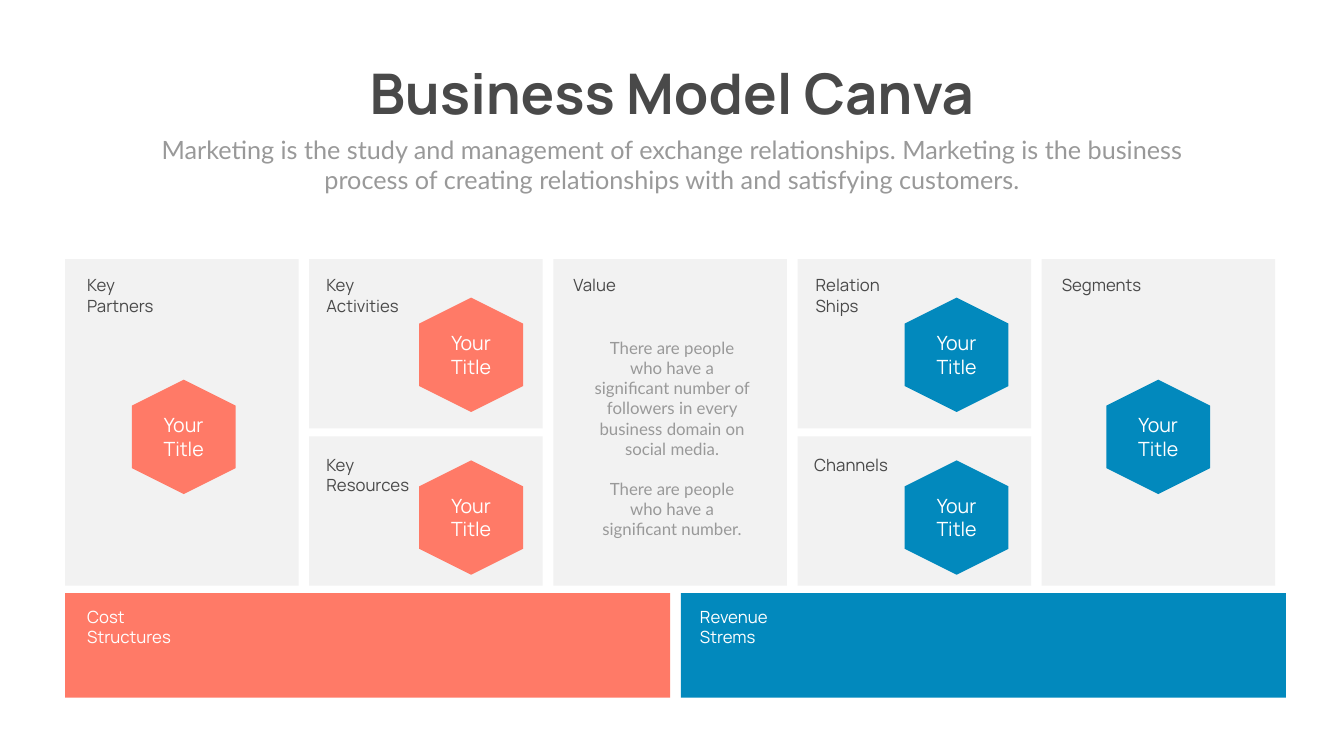
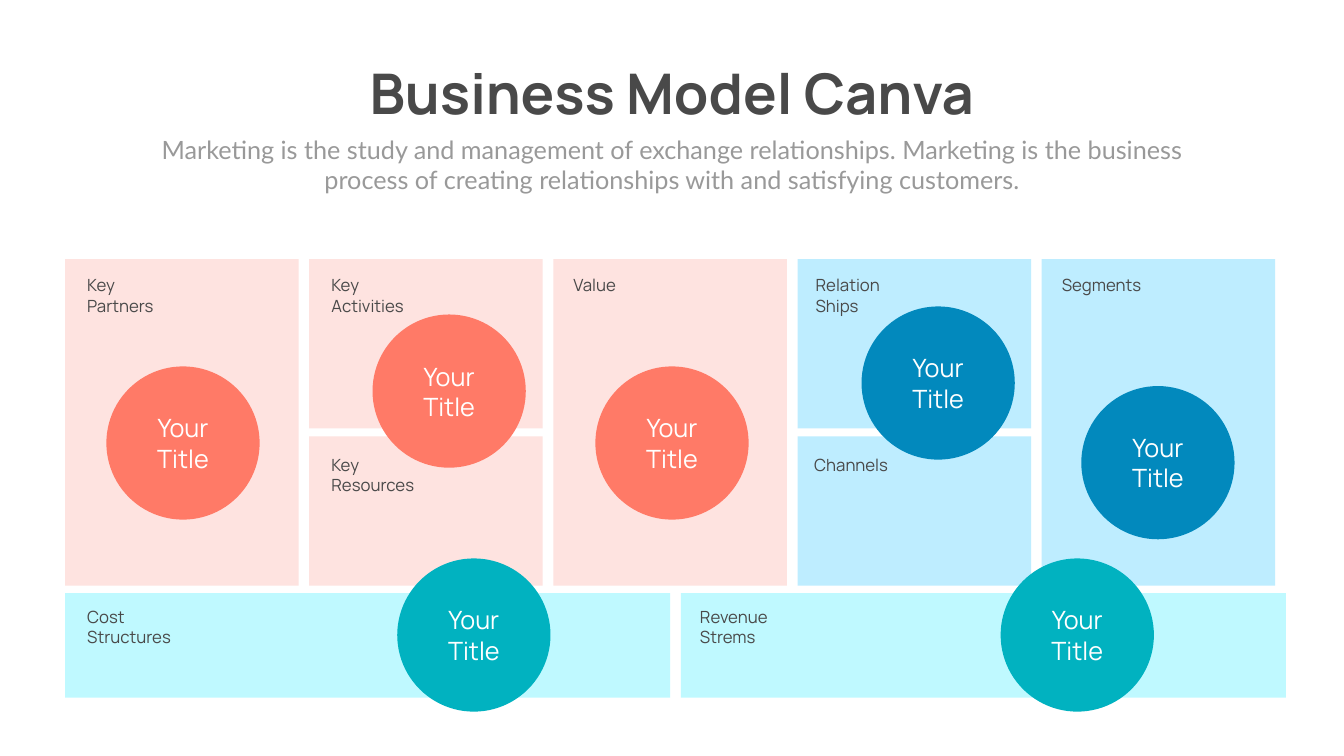
"""Build two business model canvas slides, one with hexagons and one with circles."""
from dataclasses import dataclass

from pptx import Presentation
from pptx.dml.color import RGBColor
from pptx.enum.shapes import MSO_SHAPE as Preset
from pptx.enum.text import MSO_ANCHOR as Anchor, PP_ALIGN as Align
from pptx.util import Pt


@dataclass(frozen=True)
class Theme:
    heading_font: str = "Manrope"
    body_font: str = "Lato"
    ink: str = "494949"
    muted: str = "999999"
    white: str = "FFFFFF"
    panel: str = "F2F2F2"
    coral: str = "FF7A67"
    blue: str = "0289BD"
    teal: str = "01B2C0"
    pale_coral: str = "FEE3E0"
    pale_blue: str = "BEEDFF"
    pale_teal: str = "BFF9FF"
    title_size: int = 80
    lead_size: int = 36
    label_size: int = 24
    hexagon_size: int = 28
    circle_size: int = 36


THEME = Theme()

TITLE = "Business Model Canva"
LEAD = ("Marketing is the study and management of exchange relationships. "
        "Marketing is the business process of creating relationships with "
        "and satisfying customers.")
BADGE = "Your Title"
VALUE_NOTES = [
    "There are people who have a significant number of followers in every "
    "business domain on social media.",
    "There are people who have a significant number.",
]

# (label, column, row, label inset, label width)
SECTIONS = [
    ("Key Partners", 0, "full", 24.5, 132),
    ("Key Activities", 1, "upper", 17.3, 131),
    ("Key Resources", 1, "lower", 17.3, 157),
    ("Value", 2, "full", 21.6, 172),
    ("Relation Ships", 3, "upper", 18.7, 131),
    ("Channels", 3, "lower", 16.6, 173),
    ("Segments", 4, "full", 21.6, 172),
    ("Cost Structures", 0, "bar", 24.5, 144),
    ("Revenue Strems", 1, "bar", 20.2, 144),
]

HEXAGON_SLIDE = {
    "fills": [THEME.panel] * 7 + [THEME.coral, THEME.blue],
    "bar_ink": THEME.white,
    "activity_shift": 0,
    "badges": [
        (262.4, 624.2, THEME.coral),
        (672.8, 506.9, THEME.coral),
        (1366.2, 506.9, THEME.blue),
        (672.8, 739.4, THEME.coral),
        (1366.2, 739.4, THEME.blue),
        (1654.2, 624.2, THEME.blue),
    ],
}
CIRCLE_SLIDE = {
    "fills": [THEME.pale_coral] * 4 + [THEME.pale_blue] * 3 + [THEME.pale_teal] * 2,
    "bar_ink": THEME.ink,
    "activity_shift": 7.2,
    "badges": [
        (261.4, 632.9, THEME.coral),
        (641.5, 558.7, THEME.coral),
        (959.8, 632.9, THEME.coral),
        (1339.9, 547.2, THEME.blue),
        (1653.8, 661, THEME.blue),
        (676.8, 907.2, THEME.teal),
        (1538.6, 907.2, THEME.teal),
    ],
}

SLIDE_SIZE = (1919.5, 1080)
LEFT, COLUMN, GAP = 93, 333.4, 15.3
BAR = (5 * COLUMN + 3 * GAP) / 2 + GAP / 2
# row: top, height, label offset
ROWS = {
    "full": (370, 466.5, 19.5),
    "upper": (370, 242, 19.5),
    "lower": (623.5, 213, 23),
    "bar": (847.5, 149, 15),
}
HEXAGON = (163.4, 148.3)
HEXAGON_TEXT = (117.4, 74.9)
CIRCLE = (218.9, 218.9)


def write(shape, *texts, font=THEME.heading_font, size=THEME.label_size,
          color=THEME.ink, bold=False, align=Align.LEFT, anchor=Anchor.TOP, gap=0):
    frame = shape.text_frame
    frame.word_wrap = True
    frame.vertical_anchor = anchor
    for index, text in enumerate(texts):
        para = frame.add_paragraph() if index else frame.paragraphs[0]
        para.alignment = align
        if index:
            para.space_before = Pt(gap)
        span = para.add_run()
        span.text = text
        span.font.name = font
        span.font.size = Pt(size)
        span.font.bold = bold
        span.font.color.rgb = RGBColor.from_string(color)


def add_text(shapes, area, *texts, **style):
    box = shapes.add_textbox(*map(Pt, area))
    write(box, *texts, **style)


def add_block(shapes, preset, area, fill):
    block = shapes.add_shape(preset, *map(Pt, area))
    block.shadow.inherit = False
    block.fill.solid()
    block.fill.fore_color.rgb = RGBColor.from_string(fill)
    block.line.fill.background()
    return block


def centered(x, y, size):
    width, height = size
    return x - width / 2, y - height / 2, width, height


def add_canvas(page, design):
    shapes = page.shapes.add_group_shape().shapes
    labels = []
    for (text, column, row, inset, label_width), fill in zip(SECTIONS, design["fills"]):
        top, height, offset = ROWS[row]
        width = BAR if row == "bar" else COLUMN
        left = LEFT + column * (width + GAP)
        panel = add_block(shapes, Preset.ROUNDED_RECTANGLE, (left, top, width, height), fill)
        panel.adjustments[0] = 0
        if row != "bar" and column == 1:
            inset += design["activity_shift"]
        label_height = 65.5 if " " in text else 36
        ink = design["bar_ink"] if row == "bar" else THEME.ink
        labels.append(((left + inset, top + offset, label_width, label_height), text, ink))
    for area, text, ink in labels:
        add_text(shapes, area, text, color=ink)


def add_page(deck, design):
    page = deck.slides.add_slide(deck.slide_layouts[6])
    add_text(page.shapes, (484.6, 80.6, 950.4, 104.4), TITLE,
             size=THEME.title_size, bold=True, align=Align.CENTER)
    add_text(page.shapes, (210.2, 187.9, 1499, 94.3), LEAD, font=THEME.body_font,
             size=THEME.lead_size, color=THEME.muted, align=Align.CENTER)
    add_canvas(page, design)
    return page


def add_hexagon(page, x, y, fill):
    shapes = page.shapes.add_group_shape().shapes
    add_block(shapes, Preset.HEXAGON, centered(x, y, HEXAGON), fill).rotation = 90
    add_text(shapes, centered(x, y, HEXAGON_TEXT), BADGE, size=THEME.hexagon_size,
             color=THEME.white, align=Align.CENTER)


def add_circle(page, x, y, fill):
    circle = add_block(page.shapes, Preset.OVAL, centered(x, y, CIRCLE), fill)
    write(circle, BADGE, size=THEME.circle_size, color=THEME.white,
          align=Align.CENTER, anchor=Anchor.MIDDLE)


def main():
    deck = Presentation()
    deck.slide_width, deck.slide_height = map(Pt, SLIDE_SIZE)

    page = add_page(deck, HEXAGON_SLIDE)
    for badge in HEXAGON_SLIDE["badges"]:
        add_hexagon(page, *badge)
    add_text(page.shapes, (841, 478.8, 237.6, 298), *VALUE_NOTES, font=THEME.body_font,
             color=THEME.muted, align=Align.CENTER, gap=28.8)

    page = add_page(deck, CIRCLE_SLIDE)
    for badge in CIRCLE_SLIDE["badges"]:
        add_circle(page, *badge)

    deck.save("out.pptx")


if __name__ == "__main__":
    main()
